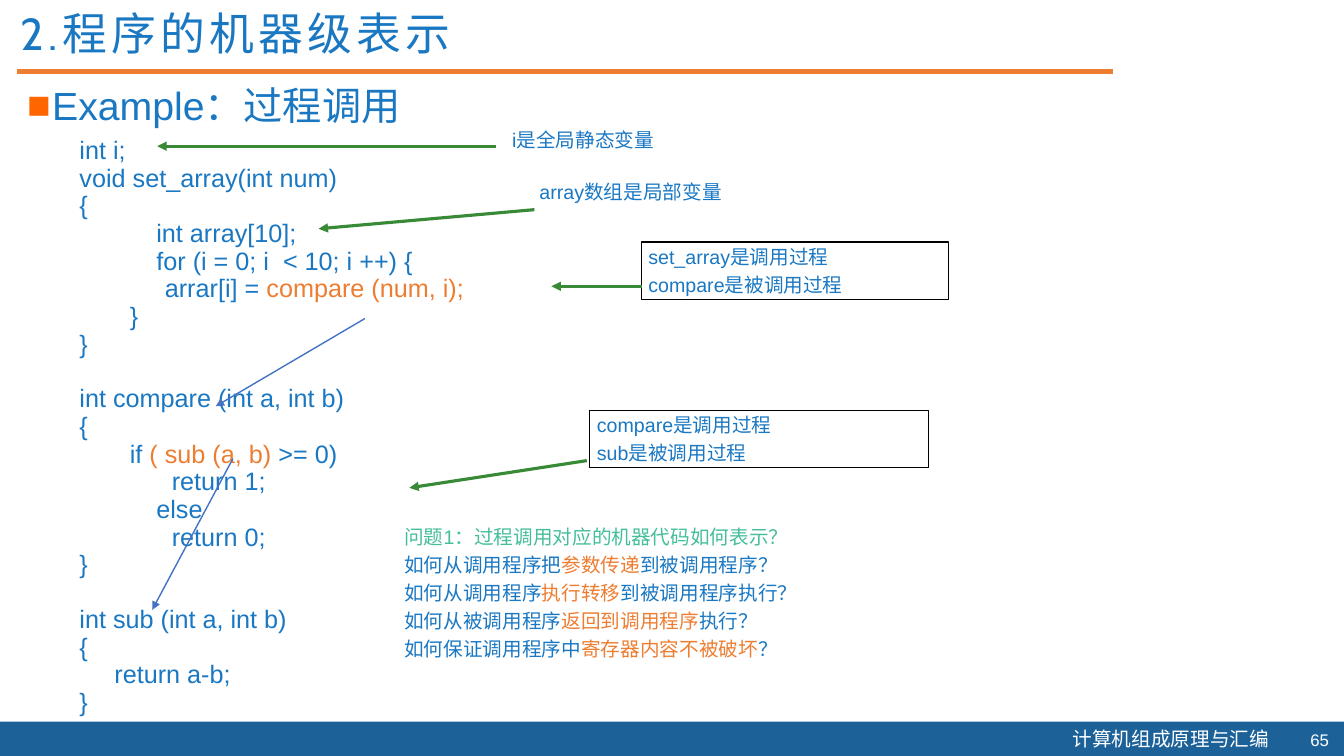
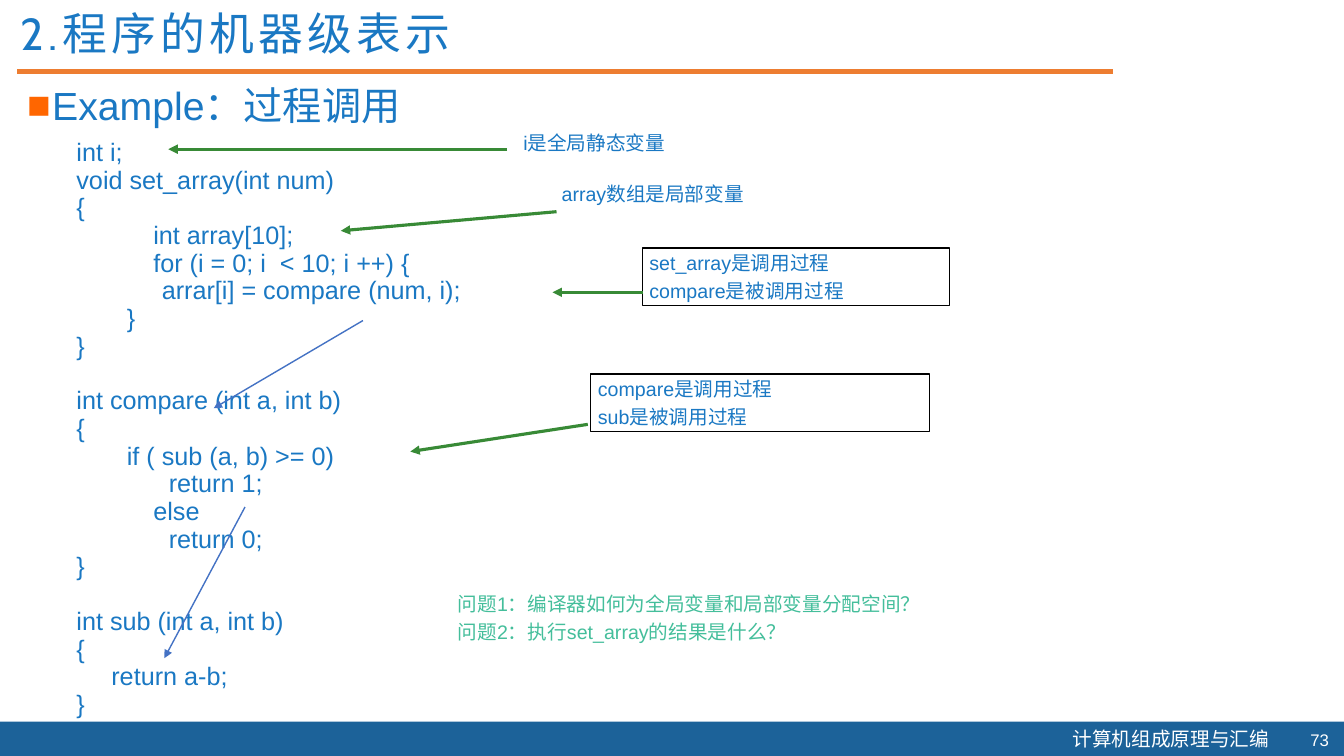
from dataclasses import dataclass

from lxml import etree
from pptx import Presentation
from pptx.dml.color import RGBColor
from pptx.enum.shapes import MSO_CONNECTOR, MSO_SHAPE
from pptx.enum.text import MSO_ANCHOR, PP_ALIGN
from pptx.oxml.ns import qn
from pptx.util import Inches, Pt

RECTANGLE = MSO_SHAPE.RECTANGLE
STRAIGHT = MSO_CONNECTOR.STRAIGHT
LEFT, RIGHT = PP_ALIGN.LEFT, PP_ALIGN.RIGHT
TOP, MIDDLE = MSO_ANCHOR.TOP, MSO_ANCHOR.MIDDLE

BLUE = RGBColor(0x1A, 0x78, 0xC3)
BAND_BLUE = RGBColor(0x1C, 0x62, 0x99)
ARROW_BLUE = RGBColor(0x44, 0x72, 0xC4)
ORANGE = RGBColor(0xED, 0x7D, 0x31)
BULLET_ORANGE = RGBColor(0xFF, 0x66, 0x00)
GREEN = RGBColor(0x38, 0x8A, 0x36)
MINT = RGBColor(0x44, 0xBE, 0x9B)
BLACK = RGBColor(0, 0, 0)
WHITE = RGBColor(0xFF, 0xFF, 0xFF)

Point = tuple[float, float]
Frame = tuple[float, float, float, float]


@dataclass(frozen=True)
class TextStyle:
    size: float
    color: RGBColor = BLUE
    font: str = "Arial"
    tracking: float = 0
    line_spacing: float = 1.0
    space_before: float = 0
    blank_line: float = 0
    align: PP_ALIGN = LEFT
    anchor: MSO_ANCHOR = TOP
    insets: Point = (0.1, 0.05)


@dataclass(frozen=True)
class Note:
    lines: tuple[str, ...]
    width: float
    height: float
    boxed: bool
    arrow_offset: Point
    arrow_reach: Point


@dataclass(frozen=True)
class Lesson:
    number: str
    code_corner: Point
    highlights: tuple[str, ...]
    call_starts: tuple[Point, ...]
    note_corners: tuple[Point, ...]
    question_frame: Frame
    questions: tuple[str, ...]
    mint_questions: int


TITLE = TextStyle(32, font="Cabin", tracking=3, line_spacing=0.9)
HEADING = TextStyle(28)
CODE = TextStyle(18, line_spacing=0.8, space_before=2.5, blank_line=19.1)
NOTE = TextStyle(14, space_before=3.2, insets=(0.07, 0.03))
COURSE = TextStyle(14, WHITE, "Noto Sans CJK SC")
NUMBER = TextStyle(12, WHITE, align=RIGHT, anchor=MIDDLE)

CODE_LINES = (
    "int i;",
    "void set_array(int num)",
    "{",
    "           int array[10];",
    "           for (i = 0; i  < 10; i ++) {",
    "\t     arrar[i] = compare (num, i);",
    "\t}",
    "}",
    "",
    "int compare (int a, int b)",
    "{",
    "\tif ( sub (a, b) >= 0)",
    "\t      return 1;",
    "           else",
    " \t      return 0;",
    "}",
    "",
    "int sub (int a, int b)",
    "{",
    "     return a-b;",
    "}",
)

CALL_REACHES = ((-1.48, 0.87), (-0.8, 1.5))

NOTES = (
    Note(("set_array是调用过程", "compare是被调用过程"),
         3.05, 0.57, True, (0.01, 0.44), (-0.9, 0)),
    Note(("compare是调用过程", "sub是被调用过程"),
         3.36, 0.57, True, (-0.03, 0.5), (-1.76, 0.27)),
    Note(("i是全局静态变量",),
         3.68, 0.29, False, (-0.09, 0.21), (-3.36, 0)),
    Note(("array数组是局部变量",),
         3.68, 0.29, False, (0.02, 0.33), (-2.14, 0.19)),
)

LESSONS = (
    Lesson(
        "65", (0.69, 1.34),
        ("compare (num, i);", "( sub (a, b) ", "参数传递", "执行转移",
         "返回到调用程序", "寄存器内容不被破坏"),
        ((3.62, 3.16), (2.31, 4.55)),
        ((6.36, 2.4), (5.85, 4.07), (5.01, 1.24), (5.28, 1.75)),
        (3.94, 5.18, 6.44, 1.42),
        ("问题1：过程调用对应的机器代码如何表示？",
         "如何从调用程序把参数传递到被调用程序？",
         "如何从调用程序执行转移到被调用程序执行？",
         "如何从被调用程序返回到调用程序执行？",
         "如何保证调用程序中寄存器内容不被破坏？"),
        1,
    ),
    Lesson(
        "73", (0.66, 1.36), (),
        ((3.6, 3.18), (2.43, 5.03)),
        ((6.37, 2.46), (5.86, 3.71), (5.12, 1.27), (5.5, 1.77)),
        (4.47, 5.84, 7.24, 0.57),
        ("问题1：编译器如何为全局变量和局部变量分配空间？",
         "问题2：执行set_array的结果是什么？"),
        2,
    ),
)


def split_spans(line: str, highlights: tuple[str, ...]) -> list[tuple[str, bool]]:
    for phrase in highlights:
        before, found, after = line.partition(phrase)
        if found:
            spans = [(before, False), (found, True), (after, False)]
            return [span for span in spans if span[0]]
    return [(line, False)]


def write_lines(shape, lines: tuple[str, ...], style: TextStyle,
                highlights: tuple[str, ...] = (), mint_lines: int = 0) -> None:
    frame = shape.text_frame
    frame.word_wrap = True
    frame.vertical_anchor = style.anchor
    side, edge = style.insets
    frame.margin_left = frame.margin_right = Inches(side)
    frame.margin_top = frame.margin_bottom = Inches(edge)
    gap = 0.0
    for index, line in enumerate(lines):
        if not line:
            gap += style.blank_line
            continue
        para = frame.add_paragraph() if index else frame.paragraphs[0]
        para.alignment = style.align
        para.line_spacing = style.line_spacing
        para.space_before = Pt(gap)
        gap = style.space_before
        base = MINT if index < mint_lines else style.color
        for text, highlighted in split_spans(line, highlights):
            span = para.add_run()
            span.text = text
            span.font.name = style.font
            span.font.size = Pt(style.size)
            span.font.color.rgb = ORANGE if highlighted else base
            if style.tracking:
                span.font._element.set("spc", str(int(style.tracking * 100)))


def add_text(page, frame: Frame, lines: tuple[str, ...], style: TextStyle,
             highlights: tuple[str, ...] = (), mint_lines: int = 0):
    box = page.shapes.add_textbox(*map(Inches, frame))
    write_lines(box, lines, style, highlights, mint_lines)
    return box


def add_rectangle(page, frame: Frame):
    box = page.shapes.add_shape(RECTANGLE, *map(Inches, frame))
    box.shadow.inherit = False
    return box


def add_line(page, start: Point, end: Point, color: RGBColor, width: float,
             arrow: bool = True) -> None:
    line = page.shapes.add_connector(STRAIGHT, *map(Inches, start + end))
    line.line.color.rgb = color
    line.line.width = Pt(width)
    if arrow:
        etree.SubElement(line.line._get_or_add_ln(), qn("a:tailEnd"), type="triangle")
    etree.SubElement(line._element.spPr, qn("a:effectLst"))


def shift(point: Point, offset: Point) -> Point:
    return point[0] + offset[0], point[1] + offset[1]


def add_square_bullet(para) -> None:
    properties = para._p.get_or_add_pPr()
    properties.set("marL", str(Inches(0.25)))
    properties.set("indent", str(Inches(-0.25)))
    color = etree.SubElement(properties, qn("a:buClr"))
    etree.SubElement(color, qn("a:srgbClr"), val=str(BULLET_ORANGE))
    etree.SubElement(properties, qn("a:buFont"), typeface="Arial")
    etree.SubElement(properties, qn("a:buChar"), char="■")


def add_page_frame(page, number: str) -> None:
    band = add_rectangle(page, (0, 7.16, 13.33, 0.35))
    band.fill.solid()
    band.fill.fore_color.rgb = BAND_BLUE
    band.line.fill.background()
    add_text(page, (10.54, 7.16, 2.18, 0.34), ("计算机组成原理与汇编",), COURSE)
    add_line(page, (0.17, 0.71), (11.04, 0.71), ORANGE, 3, arrow=False)
    add_text(page, (12.78, 7.19, 0.5, 0.3), (number,), NUMBER)
    heading = add_text(page, (0.17, 0.76, 12.94, 0.7), ("Example：过程调用",), HEADING)
    add_square_bullet(heading.text_frame.paragraphs[0])
    add_text(page, (0.11, 0.07, 10.65, 0.48), ("2.程序的机器级表示",), TITLE)


def add_note(page, note: Note, corner: Point) -> None:
    frame = corner + (note.width, note.height)
    if note.boxed:
        box = add_rectangle(page, frame)
        box.fill.background()
        box.line.color.rgb = BLACK
        box.line.width = Pt(1)
        write_lines(box, note.lines, NOTE)
    else:
        add_text(page, frame, note.lines, NOTE)
    start = shift(corner, note.arrow_offset)
    add_line(page, start, shift(start, note.arrow_reach), GREEN, 2.25)


def add_lesson(deck, lesson: Lesson) -> None:
    page = deck.slides.add_slide(deck.slide_layouts[6])
    add_page_frame(page, lesson.number)
    add_text(page, lesson.code_corner + (9, 5.77), CODE_LINES, CODE, lesson.highlights)
    for start, reach in zip(lesson.call_starts, CALL_REACHES):
        add_line(page, start, shift(start, reach), ARROW_BLUE, 1)
    for note, corner in zip(NOTES, lesson.note_corners):
        add_note(page, note, corner)
    add_text(page, lesson.question_frame, lesson.questions, NOTE,
             lesson.highlights, lesson.mint_questions)


def main() -> None:
    deck = Presentation()
    deck.slide_width = Inches(13.33)
    deck.slide_height = Inches(7.5)
    for lesson in LESSONS:
        add_lesson(deck, lesson)
    deck.save("out.pptx")


if __name__ == "__main__":
    main()
